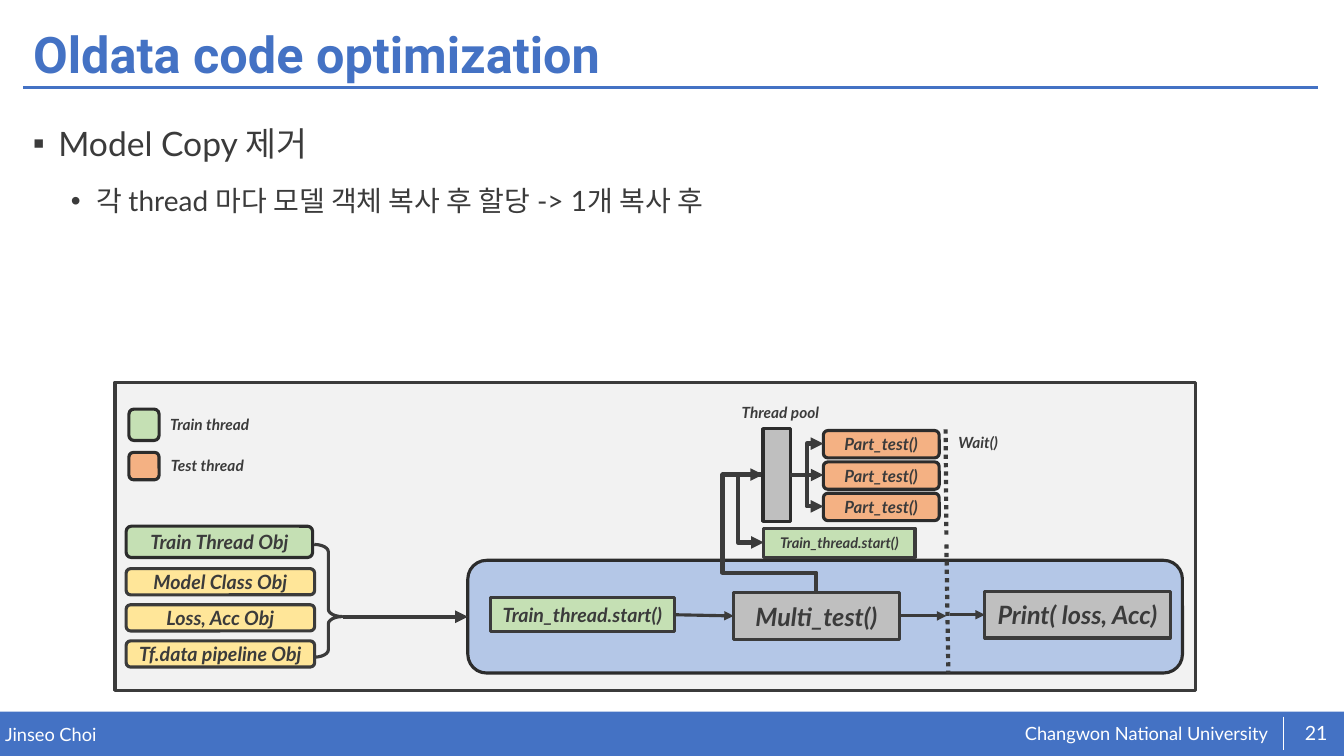
from lxml import etree
from pptx import Presentation
from pptx.dml.color import RGBColor
from pptx.enum.dml import MSO_LINE
from pptx.enum.shapes import MSO_CONNECTOR, MSO_SHAPE
from pptx.enum.text import MSO_ANCHOR, PP_ALIGN
from pptx.oxml.ns import qn
from pptx.util import Cm, Pt

RECT, ROUND, BRACE = MSO_SHAPE.RECTANGLE, MSO_SHAPE.ROUNDED_RECTANGLE, MSO_SHAPE.RIGHT_BRACE
STRAIGHT, ELBOW = MSO_CONNECTOR.STRAIGHT, MSO_CONNECTOR.ELBOW
LEFT, CENTER, RIGHT = PP_ALIGN.LEFT, PP_ALIGN.CENTER, PP_ALIGN.RIGHT
TOP, MIDDLE = MSO_ANCHOR.TOP, MSO_ANCHOR.MIDDLE
DOTTED = MSO_LINE.ROUND_DOT

COLORS = {
    "blue": "4472C4", "white": "FFFFFF", "ink": "3B3B3B", "edge": "2C2C2C",
    "panel": "F2F2F2", "main": "B4C7E7", "yellow": "FFE699",
    "green": "C5E0B4", "orange": "F4B183", "grey": "BFBFBF",
}

TITLE = "Oldata code optimization"
BULLETS = [
    ("Model Copy 제거", "▪", 24, 0.64, 0),
    ("각 thread 마다 모델 객체 복사 후 할당 -> 1개 복사 후", "•", 20, 1.6, 5),
]
FOOTER = [
    ("Changwon National University", (25.73, 18.19, 6.22, 0.58), 13, RIGHT),
    ("Jinseo Choi", (0.13, 18.21, 16.64, 0.56), 13, LEFT),
    ("21", (32.56, 17.96, 1.22, 1.02), 14, CENTER),
]
SHARED_OBJECTS = ["Model Class Obj", "Loss, Acc Obj", "Tf.data pipeline Obj"]
PART_TESTS = ["Part_test()"] * 3
STEPS = [
    ("Multi_test()", (18.49, 14.94, 4.17, 1.17), "grey", 18),
    ("Print( loss, Acc)", (24.82, 14.91, 4.67, 1.17), "grey", 18),
    ("Train_thread.start()", (12.37, 15.06, 4.62, 0.86), "green", 14),
    ("Train_thread.start()", (19.25, 13.31, 3.81, 0.74), "green", 10.5),
]
LABELS = [
    ("Thread pool", 18.44, 10.03), ("Wait()", 23.9, 10.8),
    ("Train thread", 4.04, 10.34), ("Test thread", 4.06, 11.38),
]
SWATCHES = [("green", (3.25, 10.31, 0.76, 0.79)), ("orange", (3.25, 11.4, 0.76, 0.69))]
FLOWS = [
    ((8.64, 15.54), (11.79, 15.54), 3),
    ((16.99, 15.49), (18.49, 15.52), 2.25),
    ((22.66, 15.52), (23.85, 15.52), 2.25),
    ((23.93, 15.49), (24.82, 15.49), 2.25),
]
WAIT_LINES = [((23.83, 10.82), (23.85, 13.51)), ((23.85, 13.72), (23.9, 16.97))]
ROUTES = [
    [(19.23, 11.96), (18.59, 11.96), (18.59, 13.67), (19.25, 13.67)],
    [(20.57, 14.94), (20.57, 14.43), (18.21, 14.43), (18.21, 11.96), (19.23, 11.96)],
]
POOL = (19.23, 10.8, 0.69, 2.34)

deck = Presentation()
deck.slide_width, deck.slide_height = Cm(33.87), Cm(19.05)
slide = deck.slides.add_slide(deck.slide_layouts[5])
shapes = slide.shapes


def rgb(name):
    return RGBColor.from_string(COLORS[name])


def cm(values):
    return [Cm(value) for value in values]


def write(frame, text, size, color="ink", font="Lato", bold=False, italic=False,
          align=LEFT, anchor=TOP, wrap=True, inset=None, paragraph=None):
    frame.word_wrap = wrap
    frame.vertical_anchor = anchor
    if inset is not None:
        frame.margin_left = frame.margin_right = Cm(inset)
        frame.margin_top = frame.margin_bottom = Cm(inset)
    paragraph = paragraph or frame.paragraphs[0]
    paragraph.alignment = align
    run = paragraph.add_run()
    run.text = text
    run.font.size, run.font.name = Pt(size), font
    run.font.bold, run.font.italic = bold, italic
    run.font.color.rgb = rgb(color)
    return paragraph


def box(kind, at, fill=None, edge="ink", text=None, size=14):
    shape = shapes.add_shape(kind, *cm(at))
    shape.shadow.inherit = False
    if fill:
        shape.fill.solid()
        shape.fill.fore_color.rgb = rgb(fill)
    else:
        shape.fill.background()
    if edge:
        shape.line.color.rgb = rgb(edge)
        shape.line.width = Pt(2.25)
    else:
        shape.line.fill.background()
    if text:
        write(shape.text_frame, text, size, bold=True, italic=True,
              align=CENTER, anchor=MIDDLE, wrap=False)
    return shape


def style_line(stroke, width, color="ink", arrow=True, dash=None):
    stroke.line.color.rgb = rgb(color)
    stroke.line.width = Pt(width)
    if dash:
        stroke.line.dash_style = dash
    if arrow:
        outline = stroke._element.spPr.find(qn("a:ln"))
        etree.SubElement(outline, qn("a:tailEnd"), type="triangle")


def connect(start, end, width, kind=STRAIGHT, **style):
    connector = shapes.add_connector(kind, *cm(start + end))
    style_line(connector, width, **style)
    etree.SubElement(connector._element.spPr, qn("a:effectLst"))


def route(points):
    corners = [tuple(cm(point)) for point in points]
    builder = shapes.build_freeform(*corners[0])
    builder.add_line_segments(corners[1:], close=False)
    bent_arrow = builder.convert_to_shape()
    bent_arrow.shadow.inherit = False
    bent_arrow.fill.background()
    style_line(bent_arrow, 3)


box(RECT, (0, 17.93, 33.87, 1.12), "blue", None)
for text, at, size, align in FOOTER:
    footer = shapes.add_textbox(*cm(at))
    write(footer.text_frame, text, size, "white", align=align, anchor=MIDDLE, inset=0)
connect((0.58, 2.21), (33.22, 2.21), 2, color="blue", arrow=False)
connect((32.33, 18.06), (32.33, 18.9), 0.5, color="white", arrow=False)

title = shapes.title
title.left, title.top, title.width, title.height = cm((0.58, 0.46, 32.66, 1.96))
write(title.text_frame, TITLE, 36, "blue", "Roboto", bold=True,
      anchor=MIDDLE).line_spacing = 0.9

body = shapes.add_textbox(*cm((0.58, 2.57, 32.66, 14.3))).text_frame
for index, (text, bullet, size, indent, before) in enumerate(BULLETS):
    paragraph = body.add_paragraph() if index else body.paragraphs[0]
    properties = paragraph._p.get_or_add_pPr()
    properties.set("marL", str(Cm(indent)))
    properties.set("indent", str(-Cm(0.64)))
    etree.SubElement(properties, qn("a:buFont"), typeface="Arial")
    etree.SubElement(properties, qn("a:buChar"), char=bullet)
    write(body, text, size, paragraph=paragraph)
    paragraph.line_spacing = 1.4
    if before:
        paragraph.space_before = Pt(before)

box(RECT, (2.9, 9.63, 27.23, 7.77), "panel")
box(ROUND, (11.79, 14.12, 18.01, 2.84), "main", "edge")
box(ROUND, (3.18, 13.26, 4.7, 0.79), "green", "edge", "Train Thread Obj")
for row, text in enumerate(SHARED_OBJECTS):
    box(ROUND, (3.18, 14.33 + 0.91 * row, 4.75, 0.66), "yellow", text=text)
brace = box(BRACE, (7.92, 13.72, 0.71, 2.84))
brace.adjustments[0], brace.adjustments[1] = 0.26, 0.64

for points in ROUTES:
    route(points)
for text, at, fill, size in STEPS:
    box(RECT, at, fill, text=text, size=size)
for start, end, width in FLOWS:
    connect(start, end, width)

box(RECT, POOL, "grey", "edge")
pool_exit = (POOL[0] + POOL[2], POOL[1] + POOL[3] / 2)
for row, text in enumerate(PART_TESTS):
    top = 10.85 + 0.79 * row
    box(ROUND, (20.75, top, 2.92, 0.69), "orange", "edge", text, 12)
    entry = (20.75, pool_exit[1] + 0.79 * (row - 1))
    connect(pool_exit, entry, 3, STRAIGHT if row == 1 else ELBOW)

for start, end in WAIT_LINES:
    connect(start, end, 3, arrow=False, dash=DOTTED)
for fill, at in SWATCHES:
    box(ROUND, at, fill, "edge")
for text, left, top in LABELS:
    label = shapes.add_textbox(*cm((left, top, 7.06, 0.74)))
    write(label.text_frame, text, 11, bold=True, italic=True)

deck.save("out.pptx")
